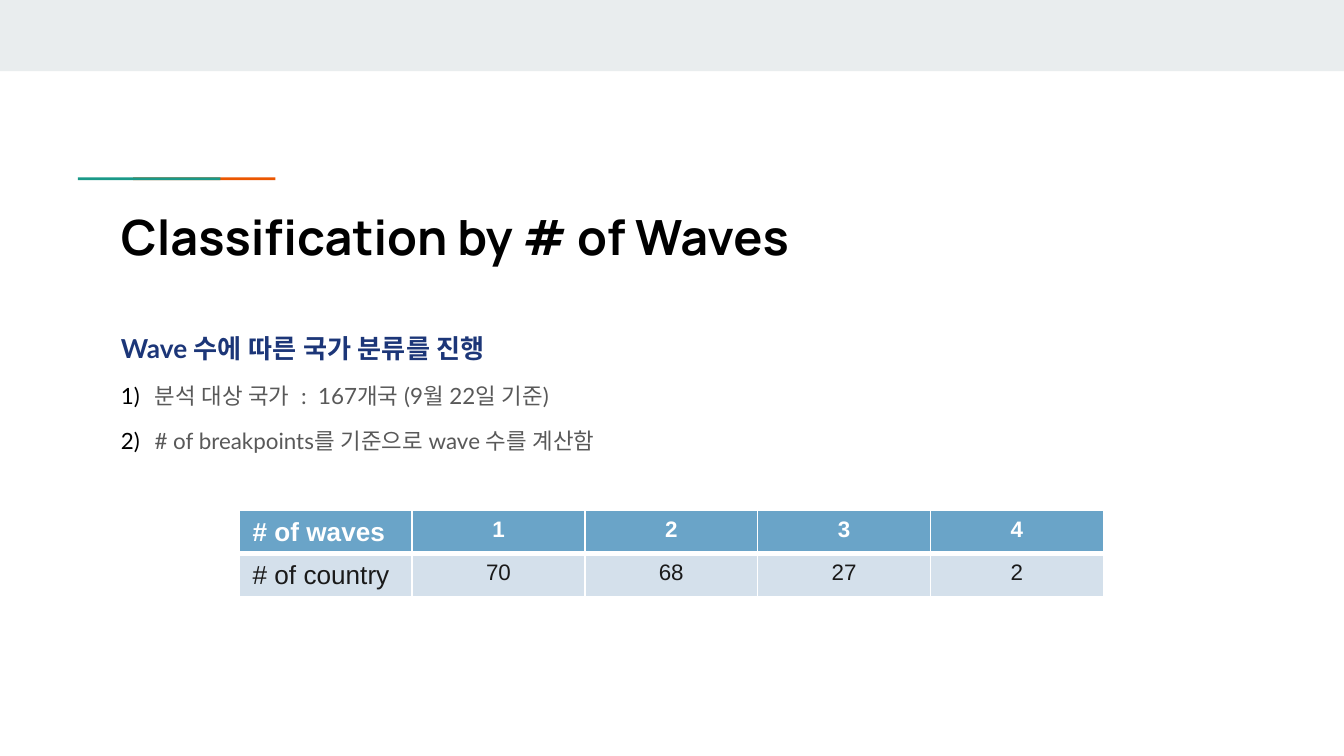
"""Build the slide that classifies countries by their number of waves."""
from lxml.etree import SubElement
from pptx import Presentation
from pptx.dml.color import RGBColor
from pptx.enum.shapes import MSO_SHAPE
from pptx.enum.text import MSO_ANCHOR, MSO_AUTO_SIZE, PP_ALIGN
from pptx.oxml.ns import qn
from pptx.util import Inches, Pt

BLACK = RGBColor(0x00, 0x00, 0x00)
WHITE = RGBColor(0xFF, 0xFF, 0xFF)
BAND = RGBColor(0xE9, 0xED, 0xEE)
ORANGE = RGBColor(0xEB, 0x56, 0x00)
TEAL = RGBColor(0x1A, 0x99, 0x88)
NAVY = RGBColor(0x1C, 0x36, 0x78)
GRAY = RGBColor(0x59, 0x59, 0x59)
INK = RGBColor(0x1A, 0x1A, 0x1A)
HEADER_BLUE = RGBColor(0x6A, 0xA4, 0xC8)
PALE_BLUE = RGBColor(0xD4, 0xE0, 0xEB)


def write(paragraph, text, font, size, color, bold=False, align=PP_ALIGN.LEFT, before=0):
    """Put formatted text into a paragraph."""
    paragraph.alignment = align
    paragraph.line_spacing = 1.0
    paragraph.space_before = Pt(before)
    run = paragraph.add_run()
    run.text = text
    run.font.name = font
    run.font.size = Pt(size)
    run.font.bold = bold
    run.font.color.rgb = color
    for script in ("a:ea", "a:cs"):
        SubElement(run.font._element, qn(script), typeface=font)


class WaveSlide:
    """Hold the fonts and the current slide."""

    title_font, body_font, table_font = "Manrope", "Lato", "Arial"

    def __init__(self, deck):
        """Add a title and content slide to the deck."""
        self.slide = deck.slides.add_slide(deck.slide_layouts[1])

    def bar(self, left, top, width, height, color):
        """Draw a plain filled rectangle."""
        box = self.slide.shapes.add_shape(
            MSO_SHAPE.RECTANGLE, Inches(left), Inches(top), Inches(width), Inches(height))
        box.shadow.inherit = False
        box.fill.solid()
        box.fill.fore_color.rgb = color
        box.line.fill.background()

    def place(self, placeholder, left, top, width, height):
        """Move a placeholder and return its prepared text frame."""
        placeholder.left, placeholder.top = Inches(left), Inches(top)
        placeholder.width, placeholder.height = Inches(width), Inches(height)
        frame = placeholder.text_frame
        frame.margin_left = frame.margin_right = Inches(0.1)
        frame.margin_top = frame.margin_bottom = Inches(0.1)
        frame.vertical_anchor = MSO_ANCHOR.TOP
        frame.auto_size = MSO_AUTO_SIZE.NONE
        frame.word_wrap = True
        return frame

    def title(self, text):
        """Fill the title placeholder."""
        frame = self.place(self.slide.shapes.title, 0.8, 1.44, 8.41, 0.59)
        write(frame.paragraphs[0], text, self.title_font, 26, BLACK, bold=True)

    def body(self, heading, items):
        """Fill the body placeholder with a heading and a numbered list."""
        frame = self.place(self.slide.placeholders[1], 0.8, 2.37, 8.83, 1.09)
        lead = frame.paragraphs[0]
        write(lead, heading, self.body_font, 14, NAVY, bold=True)
        self.indent(lead, 0)
        SubElement(lead._p.pPr, qn("a:buNone"))
        for item in items:
            point = frame.add_paragraph()
            write(point, item, self.body_font, 12, GRAY, before=10)
            self.indent(point, 0.25)
            tint = SubElement(point._p.pPr, qn("a:buClr"))
            SubElement(tint, qn("a:srgbClr"), val=str(BLACK))
            SubElement(point._p.pPr, qn("a:buFont"), typeface=self.body_font)
            SubElement(point._p.pPr, qn("a:buAutoNum"), type="arabicParenR")

    def indent(self, paragraph, hanging):
        """Set a hanging indent."""
        properties = paragraph._p.get_or_add_pPr()
        properties.set("marL", str(Inches(hanging)))
        properties.set("indent", str(-Inches(hanging)))

    def borders(self, cell, **widths):
        """Give a cell white borders, widths in points by side."""
        properties = cell._tc.get_or_add_tcPr()
        for side, width in widths.items():
            edge = SubElement(properties, qn(f"a:ln{side}"), w=str(Pt(width)))
            fill = SubElement(edge, qn("a:solidFill"))
            SubElement(fill, qn("a:srgbClr"), val=str(WHITE))

    def table(self, rows):
        """Add a table with a header row and a label column."""
        count = len(rows[0])
        grid = self.slide.shapes.add_table(
            len(rows), count, Inches(1.78), Inches(3.8),
            Inches(6.43), Inches(0.32 * len(rows))).table
        for r, row in enumerate(rows):
            header = r == 0
            for c, value in enumerate(row):
                cell = grid.cell(r, c)
                self.borders(cell, L=1, R=1, T=1 if header else 3, B=3 if header else 1)
                cell.fill.solid()
                cell.fill.fore_color.rgb = HEADER_BLUE if header else PALE_BLUE
                write(cell.text_frame.paragraphs[0], value, self.table_font,
                      12 if c else 14, WHITE if header else INK, bold=header,
                      align=PP_ALIGN.CENTER if c else PP_ALIGN.LEFT)


def main():
    """Build and save the deck."""
    deck = Presentation()
    deck.slide_width, deck.slide_height = Inches(10), Inches(10 * 9 / 16)
    page = WaveSlide(deck)
    page.bar(0, 0, 10, 0.53, BAND)
    for left, color in ((0.99, ORANGE), (0.58, TEAL)):
        page.bar(left, 1.32, 1.06, 0.02, color)
    page.title("Classification by # of Waves")
    page.body("Wave 수에 따른 국가 분류를 진행", [
        "분석 대상 국가  :  167개국 (9월 22일 기준)",
        "# of breakpoints를 기준으로 wave 수를 계산함",
    ])
    page.table([
        ["# of waves", "1", "2", "3", "4"],
        ["# of country", "70", "68", "27", "2"],
    ])
    deck.save("out.pptx")


if __name__ == "__main__":
    main()
